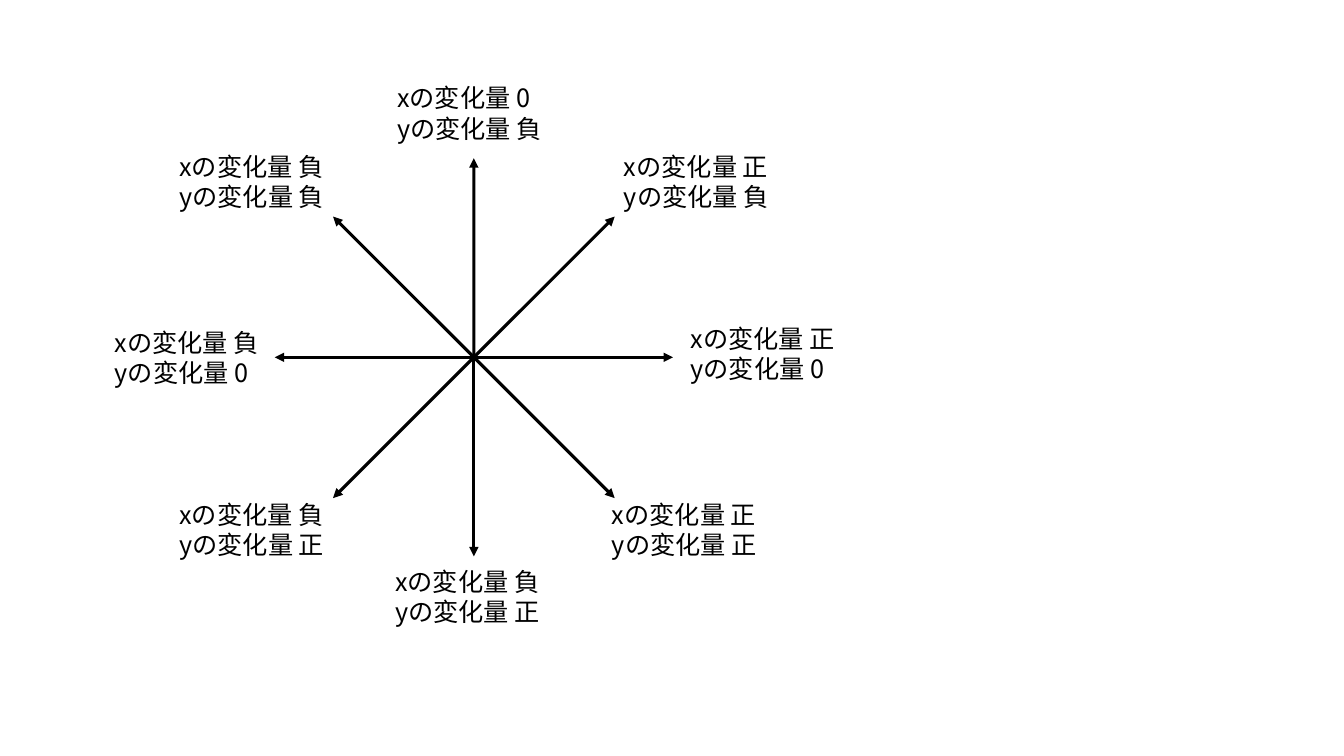
import math
from lxml import etree
from pptx import Presentation
from pptx import util as u
from pptx.dml.color import RGBColor
from pptx.enum import shapes, text
from pptx.oxml.ns import qn

COLORS = {"ink": "000000"}
FONT = "Noto Sans CJK JP"
CELL = 0.1
STAR_BOX = (10.4, 7.7, 74.6, 55.1)
CENTRE = (36.6, 27.75)
ARROW_LENGTH = 19.75
LABEL_SIZE = (17.5, 7.1)
DIRECTIONS = [
    (57.1, 23.9, "正", "0"),
    (49.3, 41.3, "正", "正"),
    (27.8, 48, "負", "正"),
    (6.4, 41.3, "負", "正"),
    (0, 24.3, "負", "0"),
    (6.4, 6.8, "負", "負"),
    (28, 0, "0", "負"),
    (50.5, 6.8, "正", "負"),
]


def grid(*cells):
    """Turn grid cells into slide lengths."""
    return [u.Inches(c * CELL) for c in cells]


def add_arrow(s, start, end):
    """Draw a line with a triangular head at its end."""
    sp = s.shapes.add_connector(shapes.MSO_CONNECTOR.STRAIGHT, *grid(*start, *end))
    sp.line.width = u.Pt(2.25)
    sp.line.color.rgb = RGBColor.from_string(COLORS["ink"])
    etree.SubElement(sp.line._get_or_add_ln(), qn("a:tailEnd"), type="triangle")
    etree.SubElement(sp._element.spPr, qn("a:effectLst"))


def add_label(s, left, top, x_change, y_change):
    """Write the changes of x and y on two lines."""
    tf = s.shapes.add_textbox(*grid(left, top, *LABEL_SIZE)).text_frame
    for name, value in {"word_wrap": False,
                        "auto_size": text.MSO_AUTO_SIZE.SHAPE_TO_FIT_TEXT}.items():
        setattr(tf, name, value)
    tf.text = f"xの変化量 {x_change}\nyの変化量 {y_change}"
    for p in tf.paragraphs:
        for r in p.runs:
            for name, value in {"size": u.Pt(18), "name": FONT}.items():
                setattr(r.font, name, value)
            r.font.color.rgb = RGBColor.from_string(COLORS["ink"])
            etree.SubElement(r._r.get_or_add_rPr(), qn("a:ea"), typeface=FONT)


def add_star(s, box):
    """Place eight labelled arrows around the centre of the box."""
    left, top = box[:2]
    cx, cy = left + CENTRE[0], top + CENTRE[1]
    for i, (dx, dy, x_change, y_change) in enumerate(DIRECTIONS):
        angle = i * math.tau / len(DIRECTIONS)
        end = (cx + ARROW_LENGTH * math.cos(angle), cy + ARROW_LENGTH * math.sin(angle))
        add_arrow(s, (cx, cy), end)
        add_label(s, left + dx, top + dy, x_change, y_change)


def main():
    """Build the slide and save it."""
    prs = Presentation()
    prs.slide_width, prs.slide_height = u.Inches(13.33), u.Inches(7.5)
    s = prs.slides.add_slide(prs.slide_layouts[6])
    add_star(s, STAR_BOX)
    prs.save("out.pptx")


if __name__ == "__main__":
    main()
